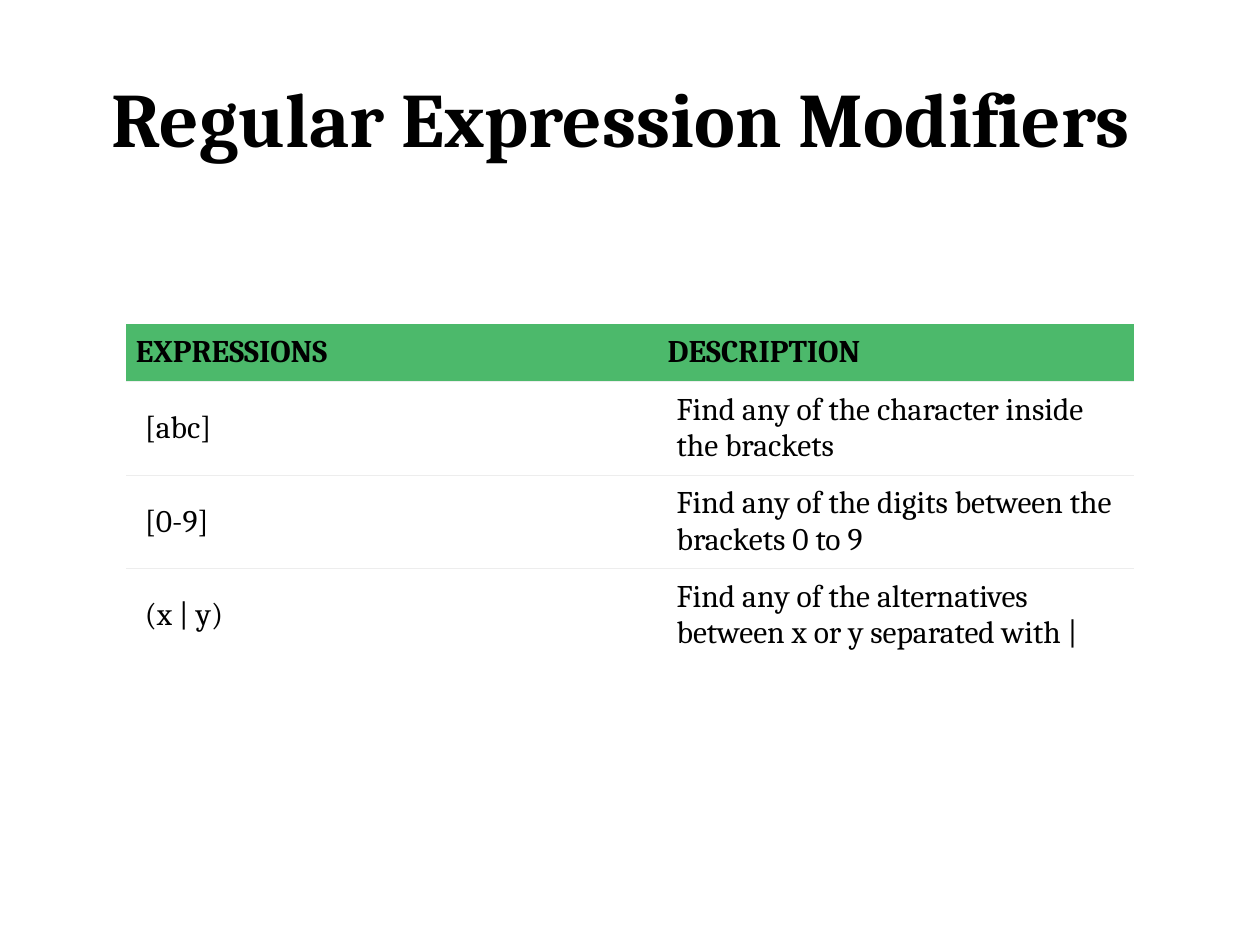
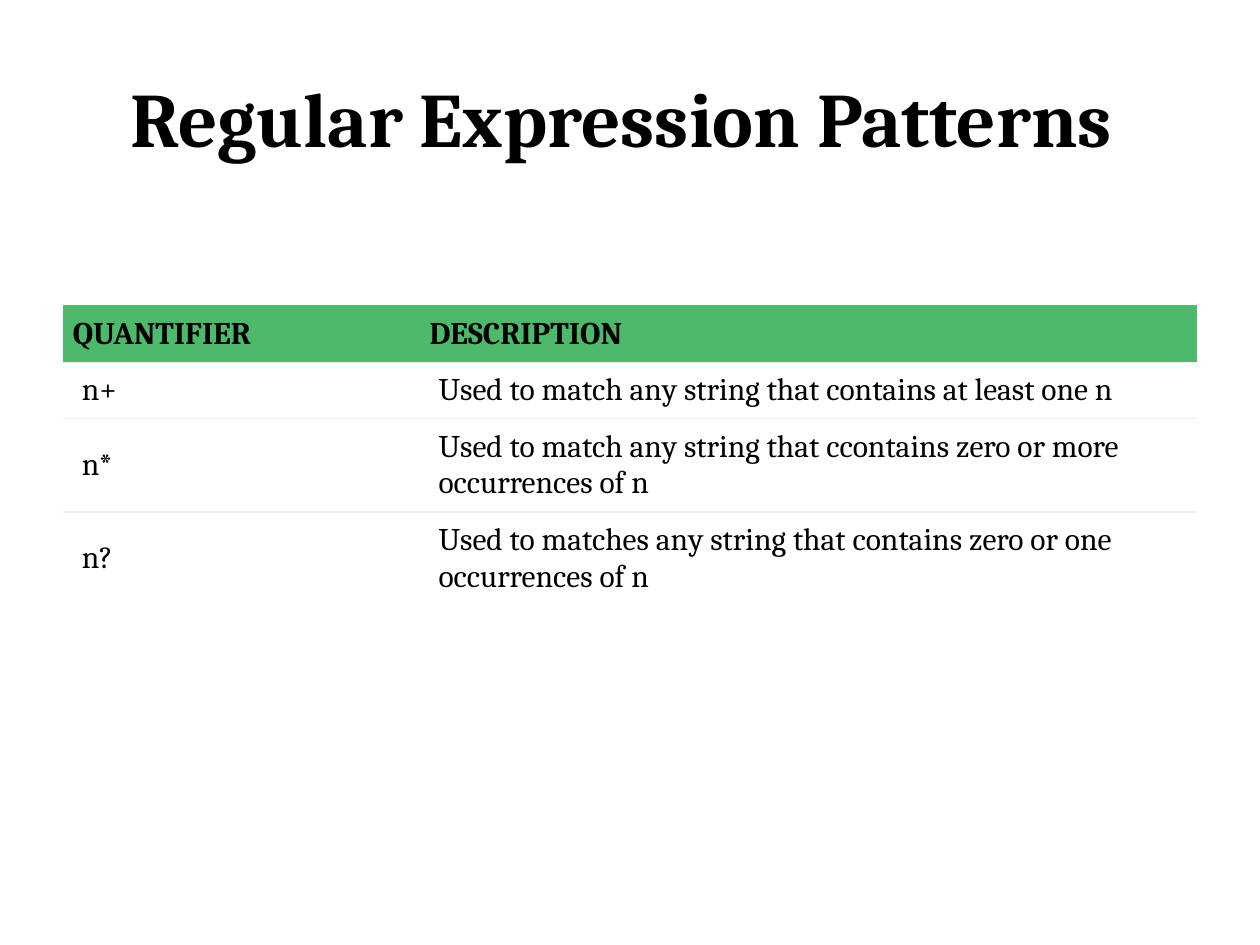
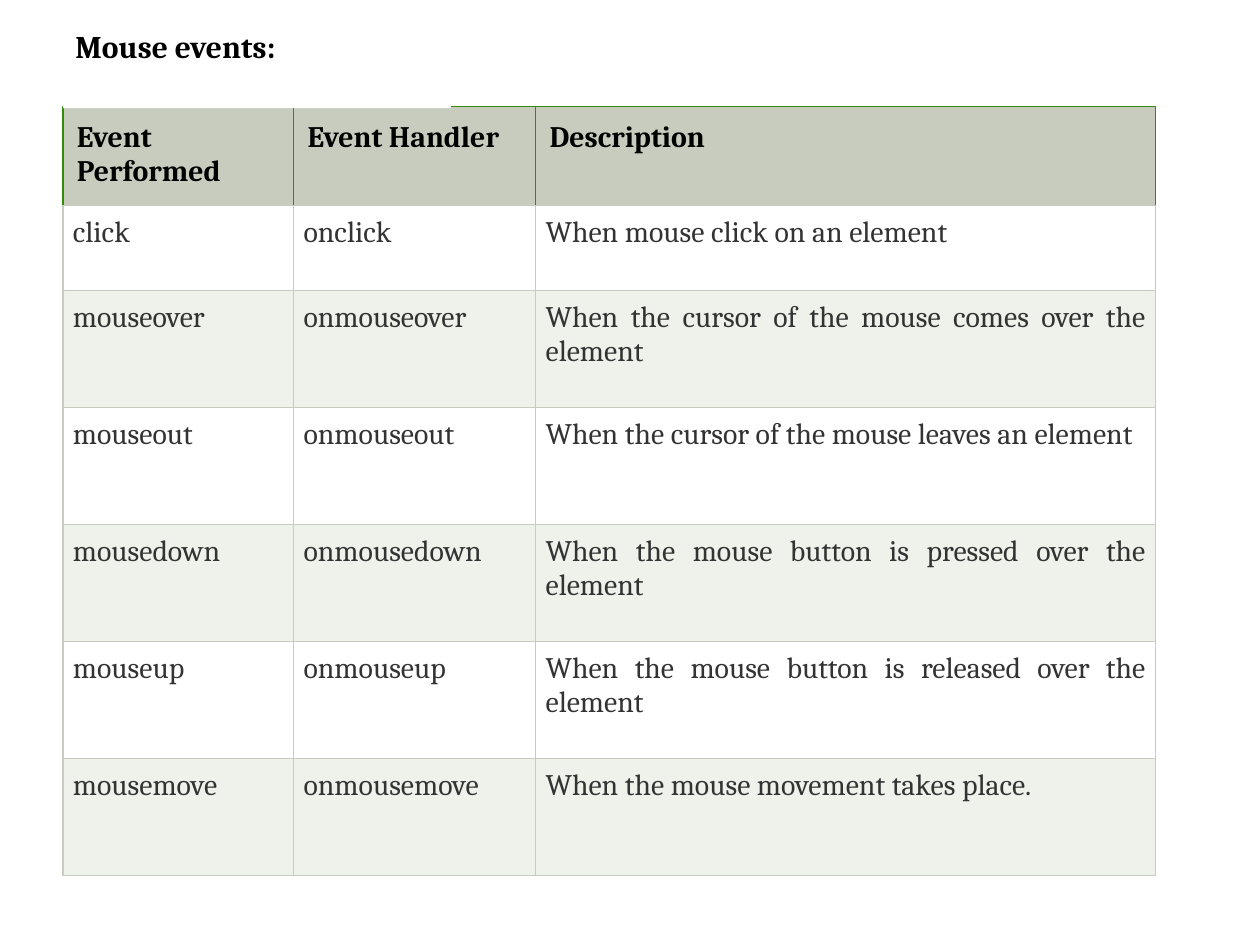
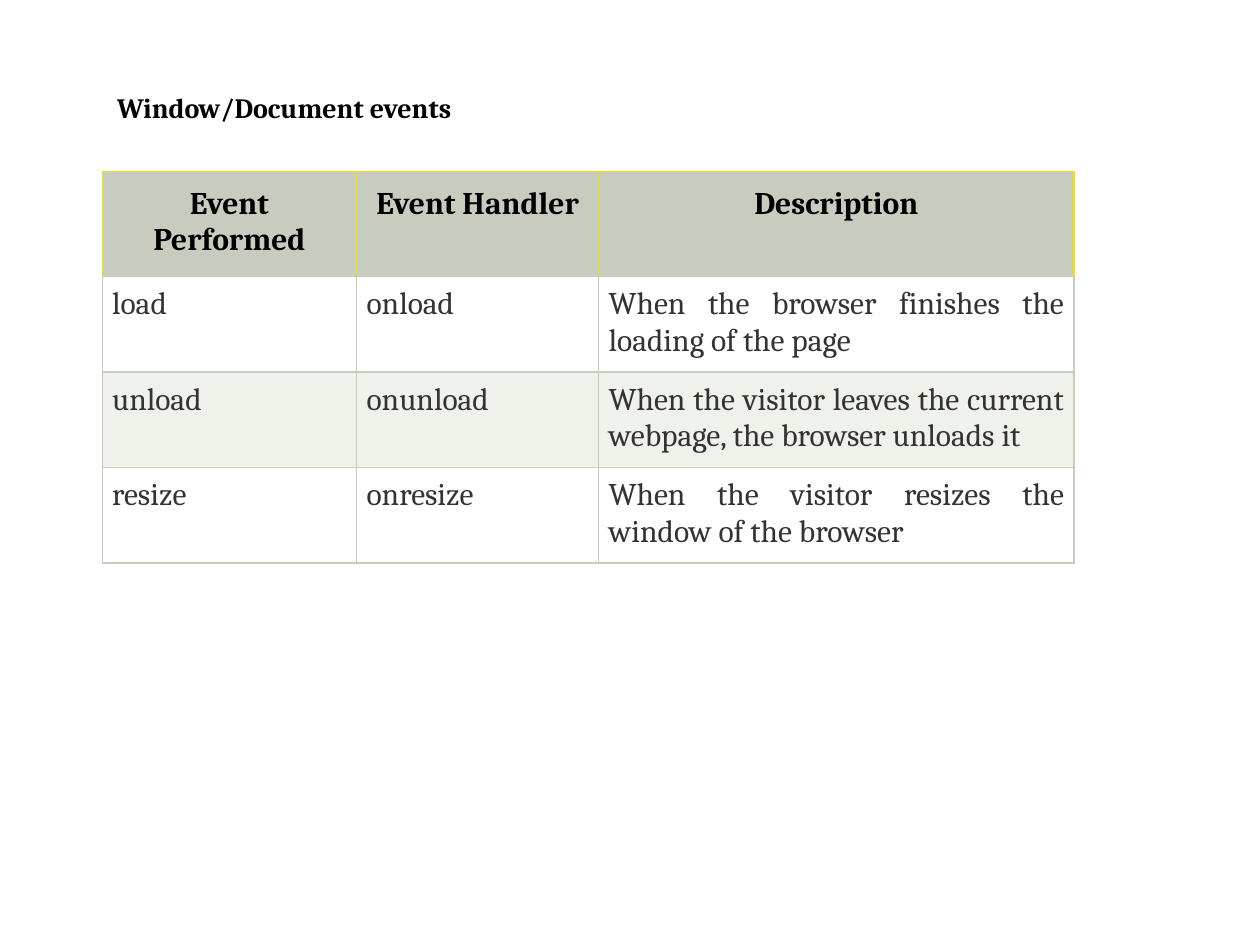
from lxml import etree
from pptx import Presentation
from pptx.dml.color import RGBColor
from pptx.enum.shapes import MSO_SHAPE
from pptx.enum.text import MSO_ANCHOR, PP_ALIGN
from pptx.oxml.ns import qn
from pptx.util import Cm, Pt

LEFT, CENTER, JUSTIFY = PP_ALIGN.LEFT, PP_ALIGN.CENTER, PP_ALIGN.JUSTIFY
TOP, MIDDLE = MSO_ANCHOR.TOP, MSO_ANCHOR.MIDDLE
RECTANGLE = MSO_SHAPE.RECTANGLE

FONT = "Cambria"
BORDER_WIDTH = Pt(0.75)
COLORS = {
    "black": "000000",
    "white": "FFFFFF",
    "text": "333333",
    "green": "4CB96B",
    "rule": "EDEDED",
    "sage": "C7CCBE",
    "band": "EFF1EB",
    "leaf": "308D0B",
    "yellow": "F0E003",
}


def write_text(frame, text, size, color, bold, align):
    para = frame.paragraphs[0]
    para.alignment = align
    span = para.add_run()
    span.text = text
    font_format = {"name": FONT, "size": Pt(size), "bold": bold}
    for name, value in font_format.items():
        setattr(span.font, name, value)
    span.font.color.rgb = RGBColor.from_string(COLORS[color])


def set_borders(cell, colors):
    """Draw the sides named in colors and blank the others."""
    properties = cell._tc.get_or_add_tcPr()
    for side in "LRTB":
        line = etree.SubElement(properties, qn(f"a:ln{side}"), w=str(BORDER_WIDTH))
        if side in colors:
            fill = etree.SubElement(line, qn("a:solidFill"))
            etree.SubElement(fill, qn("a:srgbClr"), val=COLORS[colors[side]])
        else:
            etree.SubElement(line, qn("a:noFill"))


# Table styles: margins are (horizontal, vertical) in cm
REGEX_STYLE = {
    "anchor": MIDDLE, "header_fill": "green", "band": "white", "text": "black",
    "header_align": LEFT, "body_align": LEFT,
    "header_margins": (0.2, 0.2), "body_margins": (0.38, 0.18),
    "size": 18,
}
EVENT_STYLE = {
    "anchor": TOP, "header_fill": "sage", "band": "band", "text": "text",
    "header_align": LEFT, "body_align": JUSTIFY,
    "header_margins": (0.28, 0.28), "body_margins": (0.2, 0.2),
    "size": 17, "header_border": "leaf",
}
EVENT_HEADER = ("Event Performed", "Event Handler", "Description")

# Slide contents: lengths in cm
PAGES = [
    {
        "title": "Regular Expression Modifiers ",
        "at": (2.54, 6.53), "columns": (10.72, 9.6),
        "heights": (1.15, 1.84, 1.84, 1.84),
        "style": REGEX_STYLE,
        "rows": [
            ("EXPRESSIONS", "DESCRIPTION"),
            ("[abc]", "Find any of the character inside the brackets"),
            ("[0-9]", "Find any of the digits between the brackets 0 to 9"),
            ("(x | y)", "Find any of the alternatives between x or y separated with |"),
        ],
    },
    {
        "title": "Regular Expression Patterns ",
        "at": (1.27, 6.15), "columns": (7.19, 15.67),
        "heights": (1.15, 1.12, 1.84, 1.84),
        "style": REGEX_STYLE,
        "rows": [
            ("QUANTIFIER", "DESCRIPTION"),
            ("n+", "Used to match any string that contains at least one n"),
            ("n*", "Used to match any string that ccontains zero or more occurrences of n"),
            ("n?", "Used to matches any string that contains zero or one occurrences of n"),
        ],
    },
    {
        "label": "Mouse events:", "label_size": 18,
        "label_at": (1.27, 0.38, 7.82, 1.8),
        "at": (1.27, 2.15), "columns": (4.65, 4.88, 12.5),
        "heights": (1.97, 1.7) + (2.36,) * 5,
        "style": EVENT_STYLE,
        "rows": [
            EVENT_HEADER,
            ("click", "onclick", "When mouse click on an element"),
            ("mouseover", "onmouseover", "When the cursor of the mouse comes over the element"),
            ("mouseout", "onmouseout", "When the cursor of the mouse leaves an element"),
            ("mousedown", "onmousedown", "When the mouse button is pressed over the element"),
            ("mouseup", "onmouseup", "When the mouse button is released over the element"),
            ("mousemove", "onmousemove", "When the mouse movement takes place."),
        ],
    },
    {
        "label": "Window/Document events", "label_size": 16,
        "label_at": (2.11, 1.65, 23.29, 1.8),
        "at": (2.06, 3.45), "columns": (5.13, 4.88, 9.58),
        "heights": (2.12, 1.89, 1.89, 1.89),
        "style": EVENT_STYLE | {
            "header_align": CENTER, "header_margins": (0.3, 0.3),
            "size": 18, "header_border": "yellow",
        },
        "rows": [
            EVENT_HEADER,
            ("load", "onload", "When the browser finishes the loading of the page"),
            ("unload", "onunload",
             "When the visitor leaves the current webpage, the browser unloads it"),
            ("resize", "onresize", "When the visitor resizes the window of the browser"),
        ],
    },
]

deck = Presentation()
deck.slide_width, deck.slide_height = Cm(25.4), Cm(19.05)

for content in PAGES:
    page = deck.slides.add_slide(deck.slide_layouts[6])
    style, rows, columns = content["style"], content["rows"], content["columns"]

    # Large centred title
    if "title" in content:
        box = page.shapes.add_textbox(Cm(1.27), Cm(0.76), Cm(22.86), Cm(3.18))
        box.text_frame.word_wrap = True
        box.text_frame.vertical_anchor = MIDDLE
        write_text(box.text_frame, content["title"], 44, "black", True, CENTER)

    # Table grid
    left, top = content["at"]
    table = page.shapes.add_table(
        len(rows), len(columns), Cm(left), Cm(top),
        Cm(sum(columns)), Cm(sum(content["heights"])),
    ).table
    table.first_row = table.horz_banding = False
    for column, width in zip(table.columns, columns):
        column.width = Cm(width)

    # Table cells
    for row_index, texts in enumerate(rows):
        table.rows[row_index].height = Cm(content["heights"][row_index])
        is_header = row_index == 0
        part = "header" if is_header else "body"
        if is_header:
            fill = style["header_fill"]
        else:
            fill = "white" if row_index % 2 else style["band"]

        if "header_border" in style:
            borders = dict.fromkeys("LRTB", "sage")
            if is_header:
                borders |= dict.fromkeys("LRT", style["header_border"])
            elif row_index == 1:
                borders["T"] = "sage"
        else:
            borders = {}
            if not is_header:
                borders["T"] = "rule"
            if row_index < len(rows) - 1:
                borders["B"] = "rule"

        across, down = (Cm(margin) for margin in style[f"{part}_margins"])
        cell_format = {
            "margin_left": across, "margin_right": across,
            "margin_top": down, "margin_bottom": down,
            "vertical_anchor": style["anchor"],
        }
        for column_index, text in enumerate(texts):
            cell = table.cell(row_index, column_index)
            for name, value in cell_format.items():
                setattr(cell, name, value)
            set_borders(cell, borders)
            cell.fill.solid()
            cell.fill.fore_color.rgb = RGBColor.from_string(COLORS[fill])
            write_text(cell.text_frame, text, style["size"],
                       "black" if is_header else style["text"],
                       is_header, style[f"{part}_align"])

    # White label box above the table
    if "label" in content:
        box = page.shapes.add_shape(
            RECTANGLE, *(Cm(length) for length in content["label_at"]))
        box.shadow.inherit = False
        box.fill.solid()
        box.fill.fore_color.rgb = RGBColor.from_string(COLORS["white"])
        box.line.fill.background()
        frame_format = {"word_wrap": True, "vertical_anchor": TOP, "margin_top": Cm(0.17)}
        for name, value in frame_format.items():
            setattr(box.text_frame, name, value)
        write_text(box.text_frame, content["label"], content["label_size"],
                   "black", True, LEFT)

deck.save("out.pptx")
